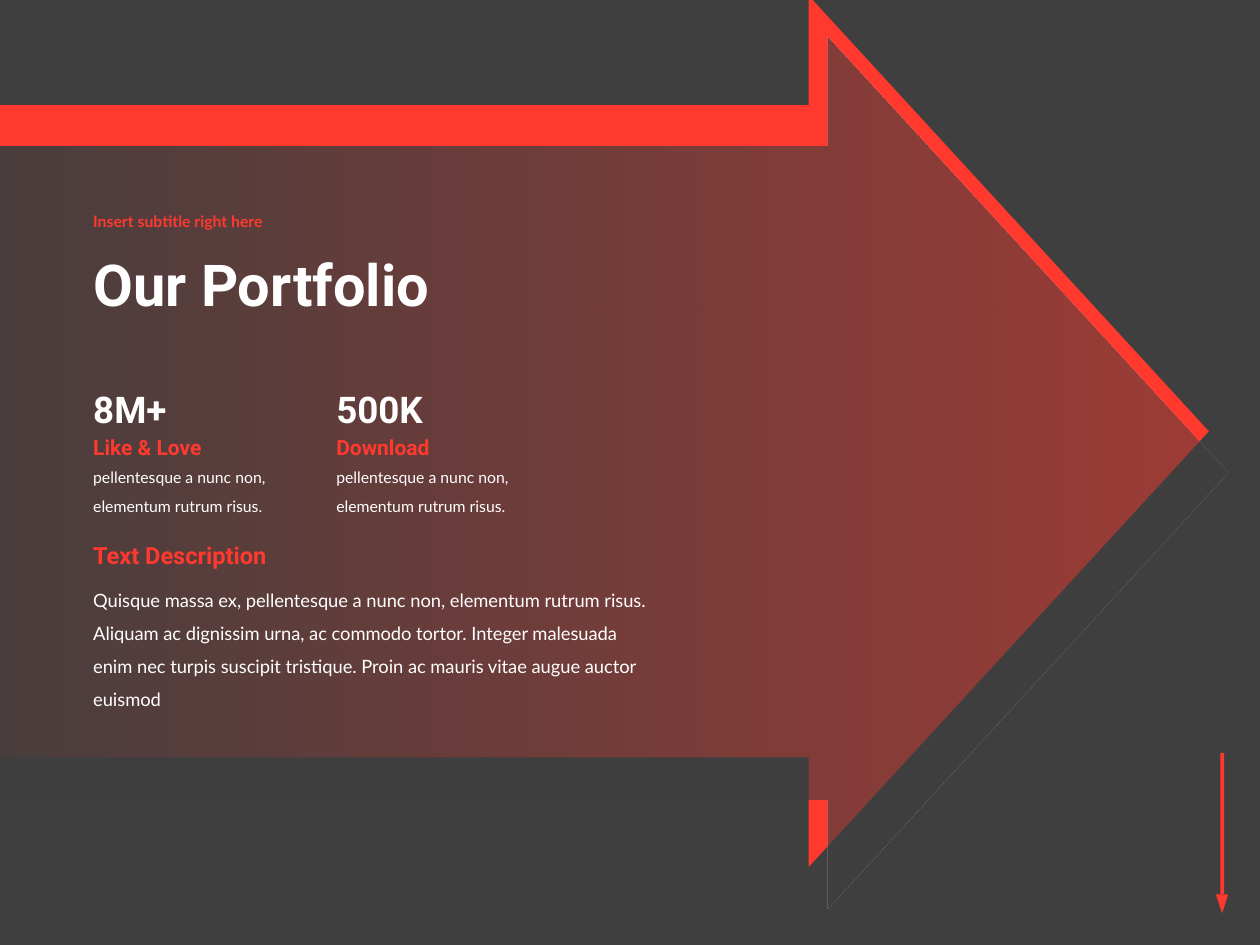
"""Build the portfolio slide with two offset arrows and key figures."""
from typing import NamedTuple

import pptx
import pptx.dml.color
import pptx.enum.shapes
import pptx.enum.text
import pptx.oxml.ns
import pptx.util
from lxml import etree
from pptx.util import Cm

DARK, RED, WHITE = "3F3F3F", "FF392E", "FFFFFF"
MARGIN = 1.63
ANCHOR = pptx.enum.text.MSO_ANCHOR
AUTO_SIZE = pptx.enum.text.MSO_AUTO_SIZE
SHAPES = pptx.enum.shapes.MSO_SHAPE


class Style(NamedTuple):
    font: str
    size: float
    color: str
    bold: bool = True
    spacing: float = 1.0


class Box(NamedTuple):
    left: float
    top: float
    width: float
    height: float


class Stat(NamedTuple):
    left: float
    value: str
    label: str
    detail: str


TITLE = Style("Roboto", 33, WHITE, spacing=0.9)
SUBTITLE = Style("Lato", 9, RED, spacing=0.9)
VALUE = Style("Roboto", 21, WHITE)
LABEL = Style("Roboto", 12, RED)
DETAIL = Style("Lato", 9, WHITE, bold=False, spacing=1.5)
HEADING = Style("Roboto", 13.5, RED)
BODY = Style("Lato", 10.5, WHITE, bold=False, spacing=1.5)

STATS = [
    Stat(left, value, label, "pellentesque a nunc non, elementum rutrum risus.")
    for left, value, label in [(MARGIN, "8M+", "Like & Love"), (6.53, "500K", "Download")]
]
DESCRIPTION = (
    "Quisque massa ex, pellentesque a nunc non, elementum rutrum risus. "
    "Aliquam ac dignissim urna, ac commodo tortor. Integer malesuada enim nec "
    "turpis suscipit tristique. Proin ac mauris vitae augue auctor euismod"
)


def rgb(color: str) -> pptx.dml.color.RGBColor:
    return pptx.dml.color.RGBColor.from_string(color)


def paint(shape, color: str) -> None:
    shape.fill.solid()
    shape.fill.fore_color.rgb = rgb(color)
    shape.line.fill.background()
    shape.shadow.inherit = False


def fade(shape, color: str, opacities: tuple[int, int]) -> None:
    shape.fill.gradient()
    shape.fill.gradient_angle = 0
    for stop, position in zip(shape.fill.gradient_stops, (0, 1)):
        stop.position = position
        stop.color.rgb = rgb(color)
    qn = pptx.oxml.ns.qn
    colors = shape.element.spPr.find(qn("a:gradFill")).iter(qn("a:srgbClr"))
    for stop_color, opacity in zip(list(colors), opacities):
        etree.SubElement(stop_color, qn("a:alpha"), val=str(opacity * 1000))


def add_arrow(slide, left: float, top: float):
    shaft_end, tip = left + 16.67, left + 24.74
    height, inset = 17.57, 2.21
    bottom = top + height
    outline = [
        (shaft_end, top), (tip, top + height / 2), (shaft_end, bottom),
        (shaft_end, bottom - inset), (left, bottom - inset),
        (left, top + inset), (shaft_end, top + inset),
    ]
    points = [(Cm(x), Cm(y)) for x, y in outline]
    builder = slide.shapes.build_freeform(*points[0])
    builder.add_line_segments(points[1:], close=True)
    arrow = builder.convert_to_shape()
    paint(arrow, RED)
    return arrow


def write(shape, text: str, style: Style, box: Box, anchor=ANCHOR.TOP,
          auto_size=AUTO_SIZE.SHAPE_TO_FIT_TEXT) -> None:
    shape.left, shape.top, shape.width, shape.height = map(Cm, box)
    frame = shape.text_frame
    frame.text = text
    frame.word_wrap = True
    frame.auto_size = auto_size
    frame.vertical_anchor = anchor
    paragraph = frame.paragraphs[0]
    paragraph.alignment = pptx.enum.text.PP_ALIGN.LEFT
    paragraph.line_spacing = style.spacing
    paragraph.font.name = style.font
    paragraph.font.size = pptx.util.Pt(style.size)
    paragraph.font.bold = style.bold
    paragraph.font.color.rgb = rgb(style.color)


def add_text(slide, text: str, style: Style, box: Box, **layout) -> None:
    write(slide.shapes.add_textbox(*map(Cm, box)), text, style, box, **layout)


def add_stat(slide, stat: Stat) -> None:
    add_text(slide, stat.detail, DETAIL, Box(stat.left, 9.12, 4.8, 1.35))
    add_text(slide, stat.label, LABEL, Box(stat.left, 8.64, 3.81, 0.76))
    add_text(slide, stat.value, VALUE, Box(stat.left, 7.67, 3.81, 1.14))


def add_scroll_marker(slide) -> None:
    stem = slide.shapes.add_shape(SHAPES.RECTANGLE, *map(Cm, (24.6, 15.18, 0.08, 2.84)))
    head = slide.shapes.add_shape(SHAPES.ISOSCELES_TRIANGLE, *map(Cm, (24.51, 18.03, 0.25, 0.38)))
    head.rotation = 180
    for part in (stem, head):
        paint(part, RED)


def main() -> None:
    deck = pptx.Presentation()
    deck.slide_width, deck.slide_height = Cm(25.4), Cm(19.05)
    slide = deck.slides.add_slide(deck.slide_layouts.get_by_name("Title Only"))
    slide.background.fill.solid()
    slide.background.fill.fore_color.rgb = rgb(DARK)

    add_scroll_marker(slide)
    add_arrow(slide, -0.37, -0.09)
    fade(add_arrow(slide, 0, 0.74), DARK, (95, 50))

    centred = {"anchor": ANCHOR.MIDDLE, "auto_size": AUTO_SIZE.NONE}
    title = slide.shapes.title
    write(title, "Our Portfolio", TITLE, Box(MARGIN, 4.5, 14.3, 2.62), **centred)
    slide.shapes.element.append(title.element)
    add_text(slide, "Insert subtitle right here", SUBTITLE,
             Box(MARGIN, 3.99, 14.3, 0.97), **centred)
    for stat in STATS:
        add_stat(slide, stat)
    add_text(slide, "Text Description", HEADING, Box(MARGIN, 10.77, 5.56, 0.84))
    add_text(slide, DESCRIPTION, BODY, Box(MARGIN, 11.53, 11.79, 2.21))

    deck.save("out.pptx")


if __name__ == "__main__":
    main()
